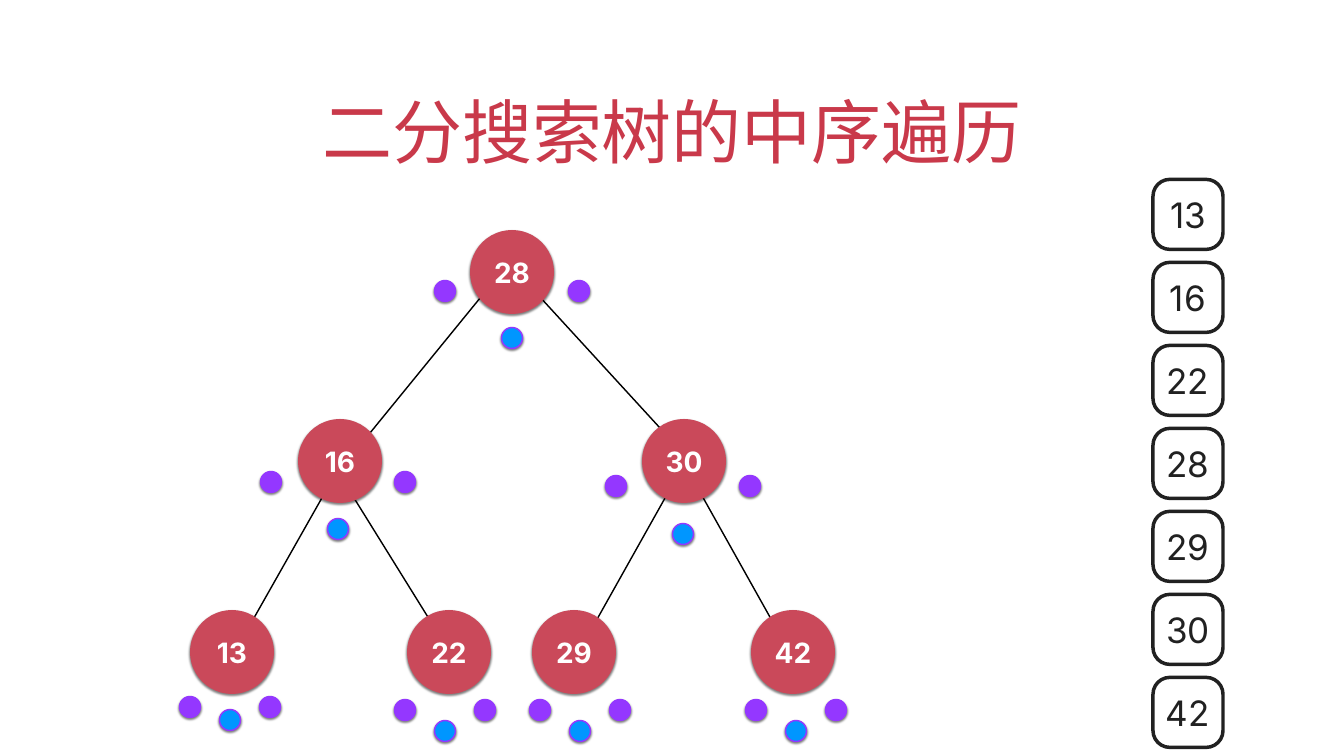
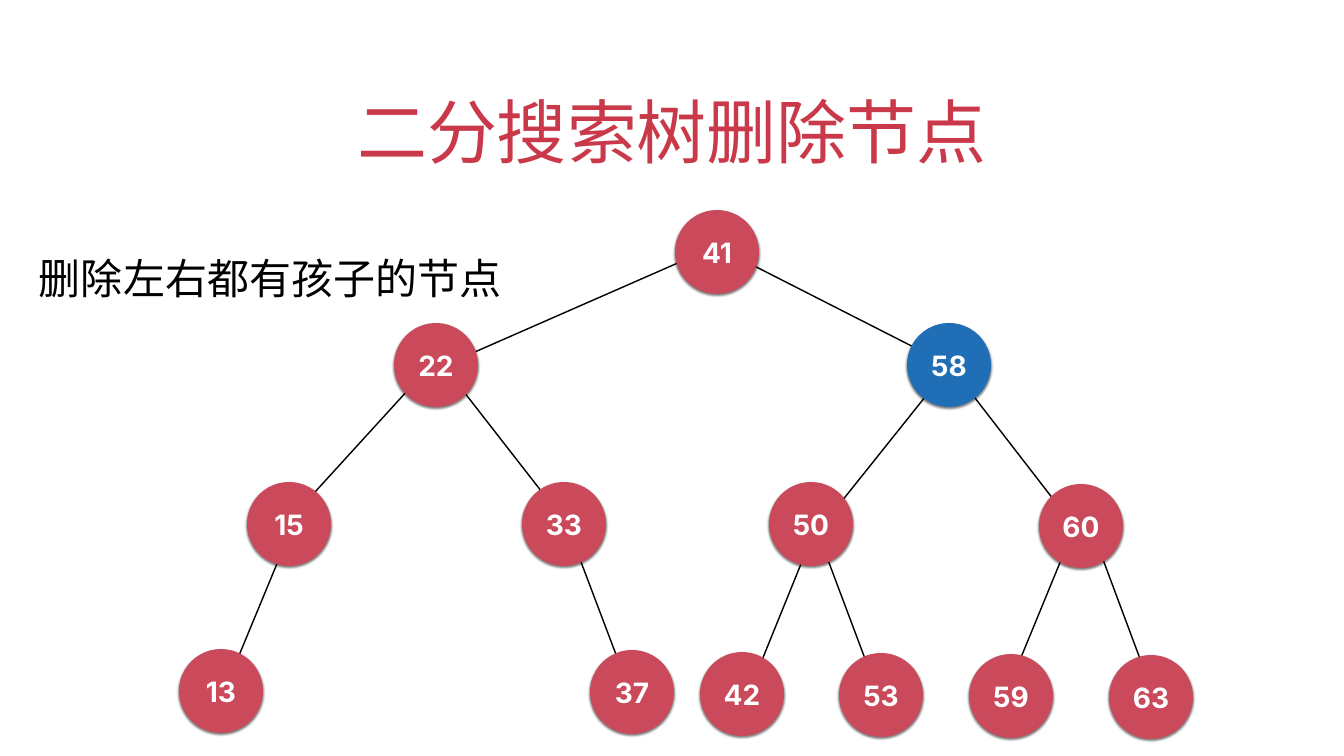
from lxml import etree
from pptx import Presentation
from pptx.dml.color import RGBColor
from pptx.enum.shapes import MSO_CONNECTOR, MSO_SHAPE
from pptx.enum.text import MSO_ANCHOR, MSO_AUTO_SIZE, PP_ALIGN
from pptx.oxml.ns import qn
from pptx.util import Emu, Pt

STRAIGHT = MSO_CONNECTOR.STRAIGHT
OVAL = MSO_SHAPE.OVAL
ROUNDED = MSO_SHAPE.ROUNDED_RECTANGLE
MIDDLE, BOTTOM = MSO_ANCHOR.MIDDLE, MSO_ANCHOR.BOTTOM
LEFT, CENTER = PP_ALIGN.LEFT, PP_ALIGN.CENTER
NO_FIT = MSO_AUTO_SIZE.NONE

SCALE = 914400 / 50.4
FONT = "Inter"
TITLE_RED, NODE_RED, NODE_BLUE = "C9394A", "CA495A", "1F6EB6"
PURPLE, SKY = "9437FF", "0096FF"
BLACK, WHITE, INK = "000000", "FFFFFF", "212121"
NODE_SIZE, DOT_SIZE = 84, 21
CELL_SIZE, CELL_PITCH = 70, 83

# Each node: value, centre x, centre y, edge to its parent as x1, y1, x2, y2.
TRAVERSAL_TREE = [
    (28, 512, 272, None),
    (16, 340, 461, (339, 471, 507, 265)),
    (30, 684, 461, (693, 464, 517, 272)),
    (13, 232, 652, (233, 655, 340, 466)),
    (22, 449, 652, (449, 651, 336, 469)),
    (29, 574, 652, (577, 655, 683, 466)),
    (42, 793, 652, (794, 660, 682, 460)),
]
DELETION_TREE = [
    (41, 717, 252, None),
    (22, 436, 365, (436, 369, 712, 248)),
    (58, 949, 365, (943, 362, 719, 248)),
    (15, 289, 524, (284, 526, 429, 367)),
    (33, 564, 524, (577, 537, 436, 356)),
    (50, 811, 524, (818, 531, 953, 362)),
    (60, 1081, 526, (1091, 548, 951, 367)),
    (13, 221, 691, (221, 699, 293, 525)),
    (37, 632, 692, (634, 702, 567, 525)),
    (42, 742, 694, (745, 702, 816, 527)),
    (53, 881, 695, (882, 704, 816, 528)),
    (59, 1011, 696, (1001, 706, 1073, 531)),
    (63, 1151, 697, (1158, 707, 1092, 530)),
]
# Each visit: centre x, spread, y of the side dots, y of the middle dot.
VISITS = [
    (512, 67, 291, 338),
    (338, 67, 482, 529),
    (683, 67, 486, 534),
    (230, 40, 707, 720),
    (445, 40, 710, 731),
    (580, 40, 710, 731),
    (796, 40, 710, 731),
]


def px(*lengths):
    """Turn pixel lengths into EMU."""
    return [Emu(round(length * SCALE)) for length in lengths]


def color(code):
    """Turn a hex string into a colour."""
    return RGBColor.from_string(code)


def write(shape, text, size, code, bold=False, align=CENTER, anchor=MIDDLE):
    """Write one formatted paragraph into a shape and return it."""
    frame = shape.text_frame
    frame.text = text
    frame.word_wrap = True
    frame.auto_size = NO_FIT
    frame.vertical_anchor = anchor
    frame.margin_left = frame.margin_right = px(3)[0]
    frame.margin_top = frame.margin_bottom = px(3)[0]
    paragraph = frame.paragraphs[0]
    paragraph.alignment = align
    span = paragraph.runs[0]
    span.font.name = FONT
    span.font.size = Pt(size)
    span.font.bold = bold
    span.font.color.rgb = color(code)
    east_asian = etree.SubElement(span.font._element, qn("a:ea"))
    east_asian.set("typeface", FONT)
    return paragraph


def add_page(deck, title):
    """Add a white slide with the shared title."""
    page = deck.slides.add_slide(deck.slide_layouts[0])
    subtitle = page.placeholders[1].element
    subtitle.getparent().remove(subtitle)
    box = page.shapes.title
    box.left, box.top, box.width, box.height = px(98, 64, 1148, 112)
    write(box, title, 100, TITLE_RED, anchor=BOTTOM)
    return page


def add_shadow(shape):
    """Give a shape a soft shadow just below it."""
    effects = shape._element.spPr.find(qn("a:effectLst"))
    shadow = etree.SubElement(effects, qn("a:outerShdw"), blurRad="38100",
                              dist="25400", dir="5400000", rotWithShape="0")
    tint = etree.SubElement(shadow, qn("a:srgbClr"), val=BLACK)
    etree.SubElement(tint, qn("a:alpha"), val="50000")


def add_circle(page, x, y, size, fill):
    """Add a shadowed circle around a centre."""
    circle = page.shapes.add_shape(
        OVAL, *px(x - size / 2, y - size / 2, size, size))
    circle.shadow.inherit = False
    circle.fill.solid()
    circle.fill.fore_color.rgb = color(fill)
    circle.line.fill.background()
    add_shadow(circle)
    return circle


def add_edge(page, ends):
    """Add a thin black line between two points."""
    edge = page.shapes.add_connector(STRAIGHT, *px(*ends))
    edge.line.color.rgb = color(BLACK)
    edge.line.width = Pt(2)
    etree.SubElement(edge._element.spPr, qn("a:effectLst"))


def add_tree(page, nodes, marked=None):
    """Add the edges of a tree, then its numbered nodes."""
    for *_, ends in nodes:
        if ends:
            add_edge(page, ends)
    for value, x, y, _ in nodes:
        fill = NODE_BLUE if value == marked else NODE_RED
        circle = add_circle(page, x, y, NODE_SIZE, fill)
        write(circle, str(value), 40, WHITE, bold=True)


def add_visit_dots(page, x, spread, side_y, middle_y):
    """Add the three dots that mark the visits to a node."""
    dots = [(x - spread, side_y, PURPLE), (x, middle_y, SKY),
            (x + spread, side_y, PURPLE)]
    for dot_x, dot_y, fill in dots:
        dot = add_circle(page, dot_x, dot_y, DOT_SIZE, fill)
        dot.line.color.rgb = color(PURPLE)
        dot.line.width = Pt(2)


def add_output(page, values):
    """Add the column of visited values."""
    for index, value in enumerate(values):
        cell = page.shapes.add_shape(ROUNDED, *px(
            1153, 179.4 + index * CELL_PITCH, CELL_SIZE, CELL_SIZE))
        cell.adjustments[0] = 0.24
        cell.shadow.inherit = False
        cell.fill.background()
        cell.line.color.rgb = color(INK)
        cell.line.width = Pt(5)
        write(cell, str(value), 50, INK)


def add_note(page, text):
    """Add the remark at the left of the tree."""
    box = page.shapes.add_textbox(*px(36, 193, 566, 144))
    write(box, text, 60, BLACK, align=LEFT).line_spacing = 1.5


def main():
    """Build both slides and save the deck."""
    deck = Presentation()
    deck.slide_width, deck.slide_height = px(1344, 756)

    page = add_page(deck, "二分搜索树的中序遍历")
    add_tree(page, TRAVERSAL_TREE)
    for visit in VISITS:
        add_visit_dots(page, *visit)
    add_output(page, sorted(node[0] for node in TRAVERSAL_TREE))

    page = add_page(deck, "二分搜索树删除节点")
    add_tree(page, DELETION_TREE, marked=58)
    add_note(page, "删除左右都有孩子的节点")

    deck.save("out.pptx")


main()
